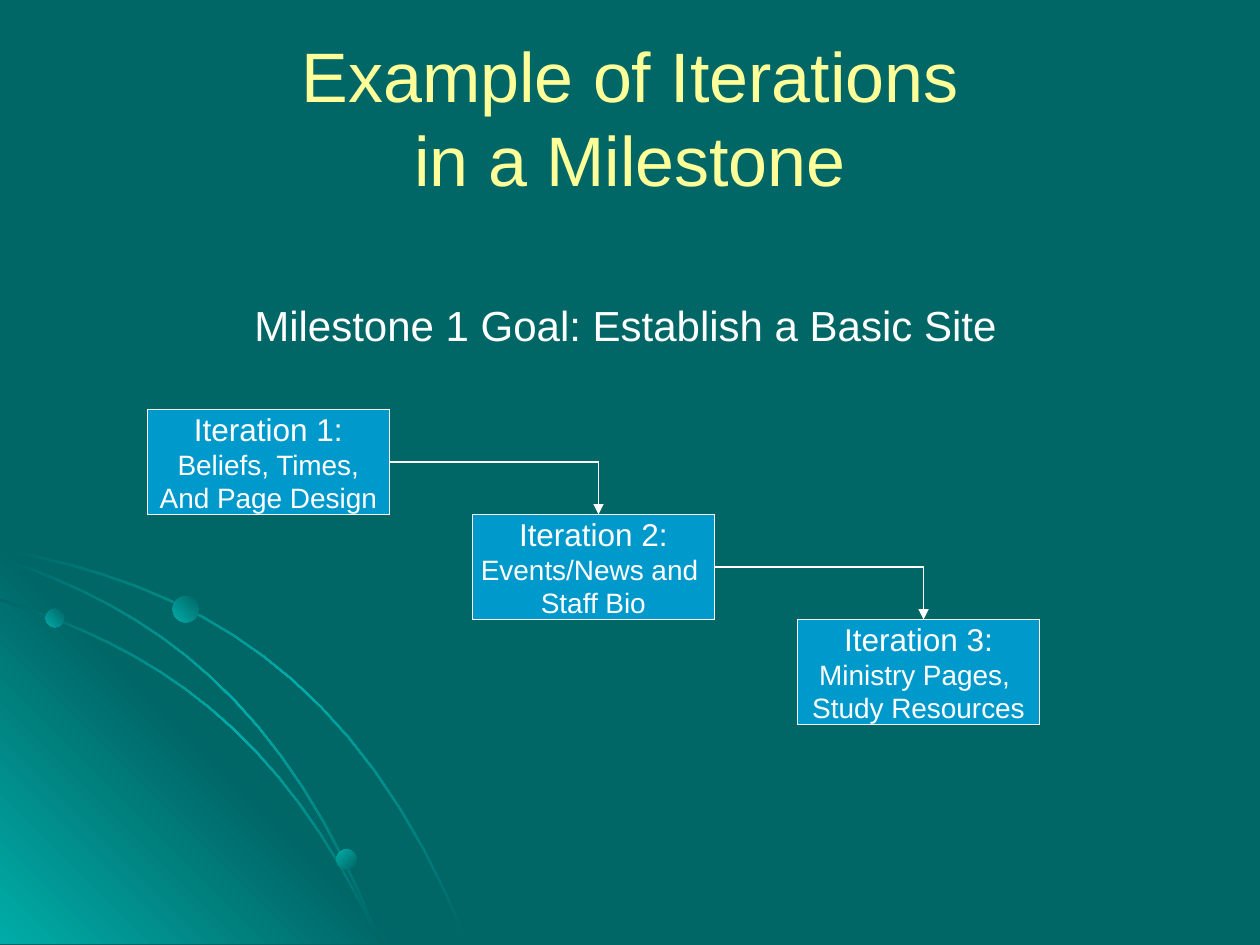
from copy import deepcopy
from lxml import etree
from pptx import Presentation
from pptx.dml.color import RGBColor
from pptx.enum.shapes import MSO_CONNECTOR, MSO_SHAPE
from pptx.enum.text import MSO_ANCHOR, PP_ALIGN
from pptx.oxml.ns import qn
from pptx.util import Inches, Pt

DARK_TEAL = RGBColor(0x00, 0x66, 0x66)
BRIGHT_TEAL = RGBColor(0x00, 0xAC, 0xA8)
YELLOW = RGBColor(0xFF, 0xFF, 0x99)
WHITE = RGBColor(0xFF, 0xFF, 0xFF)
BLUE = RGBColor(0x00, 0x99, 0xCC)
LEFT, CENTER = PP_ALIGN.LEFT, PP_ALIGN.CENTER
TOP, MIDDLE = MSO_ANCHOR.TOP, MSO_ANCHOR.MIDDLE
RECT, OVAL = MSO_SHAPE.RECTANGLE, MSO_SHAPE.OVAL
STRAIGHT = MSO_CONNECTOR.STRAIGHT

FONT = "Arial"
LINE_WIDTH = Pt(0.75)

# Staircase of iterations, in inches
BOX_W, BOX_H = 1.92, 5 / 6
FIRST_LEFT, FIRST_TOP, STEP_X = 1.17, 3.25, 2.58
ARROW_INSET = 1.0  # from a box's left edge to the arrow above it
ITERATIONS = [
    ("Iteration 1:", "Beliefs, Times,", "And Page Design"),
    ("Iteration 2:", "Events/News and ", "Staff Bio"),
    ("Iteration 3:", "Ministry Pages, ", "Study Resources"),
]

# Corner decoration, in inches
CORNER_BOTTOM, WEDGE_SIZE = 7.49, 3.22
ARC_THICKNESS, ARC_SEGMENTS = 0.02, 16
# Each arc: start, two Bézier control points, end
OUTER_ARC = [(0, 4.35), (1.5, 4.62), (2.85, 5.31), (3.72, CORNER_BOTTOM)]
INNER_ARC = [(0, 4.75), (1.2, 5.13), (2.23, 5.75), (3.03, CORNER_BOTTOM)]
MIDDLE_ARC = [(0, 4.42), (1.2, 4.82), (2.28, 5.54), (3.03, CORNER_BOTTOM)]
# Counter-clockwise gradient directions
TO_UPPER_LEFT, TO_LOWER_LEFT = 135, 225
# Each dot: left, top, diameter, gradient direction
DOTS = [
    (0.36, 4.83, 0.15, TO_LOWER_LEFT),
    (2.67, 6.74, 0.16, TO_UPPER_LEFT),
    (1.37, 4.73, 0.21, TO_LOWER_LEFT),
]


def set_gradient(sp, colors, angle):
    """Fill with evenly spaced colour stops and no outline."""
    sp.shadow.inherit = False
    sp.line.fill.background()
    sp.fill.gradient()
    sp.fill.gradient_angle = angle
    stop_list = sp._element.spPr.find(".//" + qn("a:gsLst"))
    for _ in colors[2:]:
        stop_list.append(deepcopy(stop_list[-1]))
    for i, (stop, color) in enumerate(zip(sp.fill.gradient_stops, colors)):
        stop.position = i / (len(colors) - 1)
        stop.color.rgb = color


def add_outline(slide, points, colors, angle):
    points = [(Inches(x), Inches(y)) for x, y in points]
    builder = slide.shapes.build_freeform(*points[0])
    builder.add_line_segments(points[1:], close=True)
    set_gradient(builder.convert_to_shape(), colors, angle)


def bezier_points(controls):
    """Sample a cubic Bézier curve at equal parameter steps."""
    points = []
    for i in range(ARC_SEGMENTS + 1):
        t = i / ARC_SEGMENTS
        u = 1 - t
        weights = (u ** 3, 3 * u * u * t, 3 * u * t * t, t ** 3)
        points.append(tuple(
            sum(w * value for w, value in zip(weights, axis))
            for axis in zip(*controls)))
    return points


def add_arc(slide, controls):
    """Draw a thin ribbon between a curve and the same curve moved inwards."""
    start, bend_1, bend_2, end = controls
    inner_controls = [
        *((x, y + ARC_THICKNESS) for x, y in (start, bend_1)),
        *((x - ARC_THICKNESS, y) for x, y in (bend_2, end)),
    ]
    ribbon = bezier_points(controls) + bezier_points(inner_controls)[::-1]
    add_outline(slide, ribbon, (DARK_TEAL, BRIGHT_TEAL, DARK_TEAL),
                TO_UPPER_LEFT)


def add_wedge(slide):
    top = CORNER_BOTTOM - WEDGE_SIZE
    triangle = [(0, top), (WEDGE_SIZE, CORNER_BOTTOM), (0, CORNER_BOTTOM)]
    add_outline(slide, triangle, (BRIGHT_TEAL, DARK_TEAL, BRIGHT_TEAL),
                TO_LOWER_LEFT)


def add_preset(slide, preset, x, y, w, h):
    return slide.shapes.add_shape(
        preset, Inches(x), Inches(y), Inches(w), Inches(h))


def add_corner_decoration(slide):
    add_arc(slide, OUTER_ARC)
    add_wedge(slide)
    add_arc(slide, INNER_ARC)
    add_arc(slide, MIDDLE_ARC)
    for x, y, size, angle in DOTS:
        dot = add_preset(slide, OVAL, x, y, size, size)
        set_gradient(dot, (DARK_TEAL, BRIGHT_TEAL), angle)


def write_text(sp, lines, sizes, color=WHITE, align=CENTER, anchor=MIDDLE,
               wrap=False):
    """Write one paragraph per line; a vertical tab is a line break."""
    tf = sp.text_frame
    tf.word_wrap = wrap
    tf.vertical_anchor = anchor
    for i, (line, size) in enumerate(zip(lines, sizes)):
        p = tf.add_paragraph() if i else tf.paragraphs[0]
        p.text = line
        p.alignment = align
        for r in p.runs:
            r.font.name = FONT
            r.font.size = Pt(size)
            r.font.color.rgb = color


def add_text_box(slide, x, y, w, h, text, size, **text_format):
    sp = slide.shapes.add_textbox(Inches(x), Inches(y), Inches(w), Inches(h))
    write_text(sp, [text], [size], **text_format)


def add_iteration_box(slide, x, y, lines):
    sp = add_preset(slide, RECT, x, y, BOX_W, BOX_H)
    sp.shadow.inherit = False
    sp.fill.solid()
    sp.fill.fore_color.rgb = BLUE
    sp.line.color.rgb = WHITE
    sp.line.width = LINE_WIDTH
    write_text(sp, lines, (18, 16, 16))


def add_line(slide, start, end, arrow=False):
    line = slide.shapes.add_connector(
        STRAIGHT, *(Inches(value) for value in (*start, *end)))
    line.line.color.rgb = WHITE
    line.line.width = LINE_WIDTH
    properties = line._element.spPr
    if arrow:
        outline = properties.find(qn("a:ln"))
        etree.SubElement(outline, qn("a:tailEnd"), type="triangle")
    etree.SubElement(properties, qn("a:effectLst"))


def add_staircase(slide):
    """Draw the iterations as steps, each leading down to the next."""
    corners = [(FIRST_LEFT + i * STEP_X, FIRST_TOP + i * BOX_H)
               for i in range(len(ITERATIONS))]
    for (x, y), lines in zip(corners, ITERATIONS):
        add_iteration_box(slide, x, y, lines)
    for (x, y), (next_x, next_y) in zip(corners, corners[1:]):
        exit_point = (x + BOX_W, y + BOX_H / 2)
        turn = (next_x + ARROW_INSET, y + BOX_H / 2)
        add_line(slide, exit_point, turn)
        add_line(slide, turn, (next_x + ARROW_INSET, next_y), arrow=True)


def main():
    prs = Presentation()
    prs.slide_width, prs.slide_height = Inches(10), Inches(7.5)
    slide = prs.slides.add_slide(prs.slide_layouts[6])
    slide.background.fill.solid()
    slide.background.fill.fore_color.rgb = DARK_TEAL
    add_corner_decoration(slide)
    add_text_box(slide, 0.5, 0.3, 9, 1.25,
                 "Example of Iterations\vin a Milestone", 40,
                 color=YELLOW, wrap=True)
    add_text_box(slide, 1.92, 2.33, 6.09, 0.5,
                 "Milestone 1 Goal: Establish a Basic Site", 24,
                 align=LEFT, anchor=TOP)
    add_staircase(slide)
    prs.save("out.pptx")


if __name__ == "__main__":
    main()
